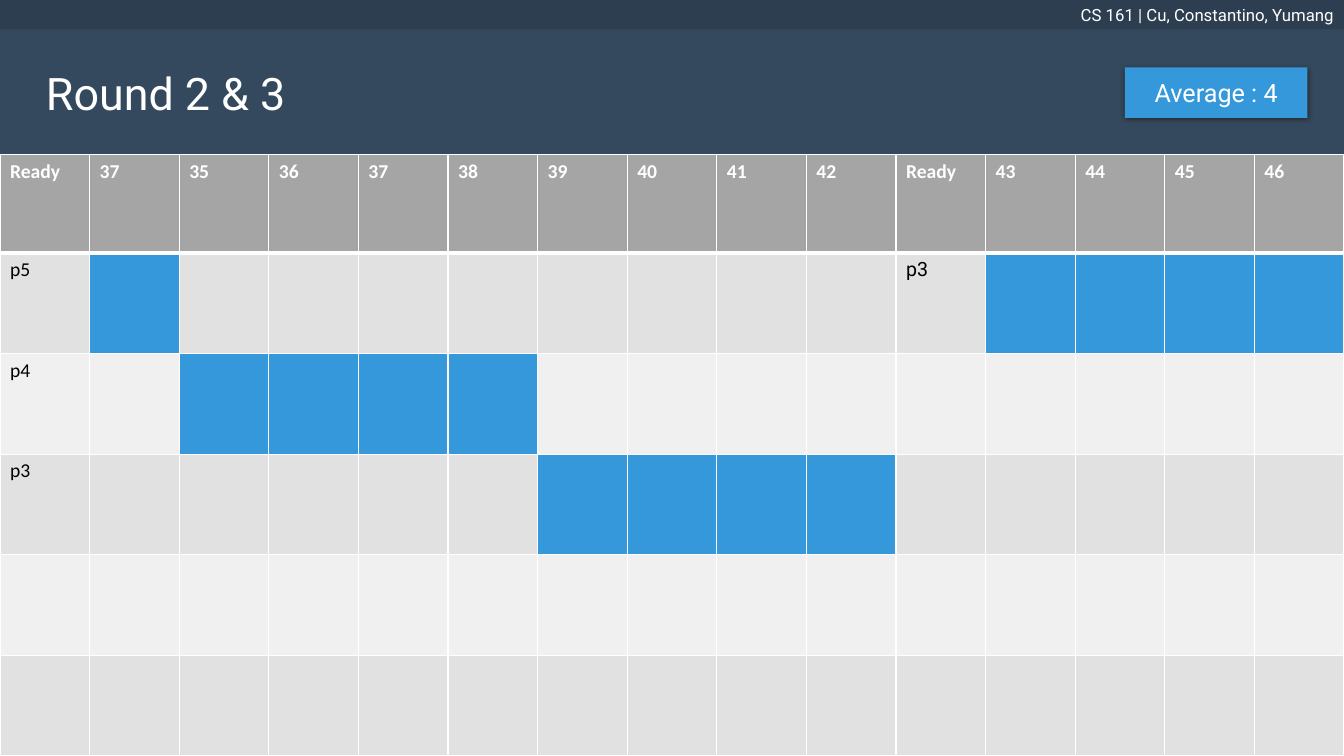
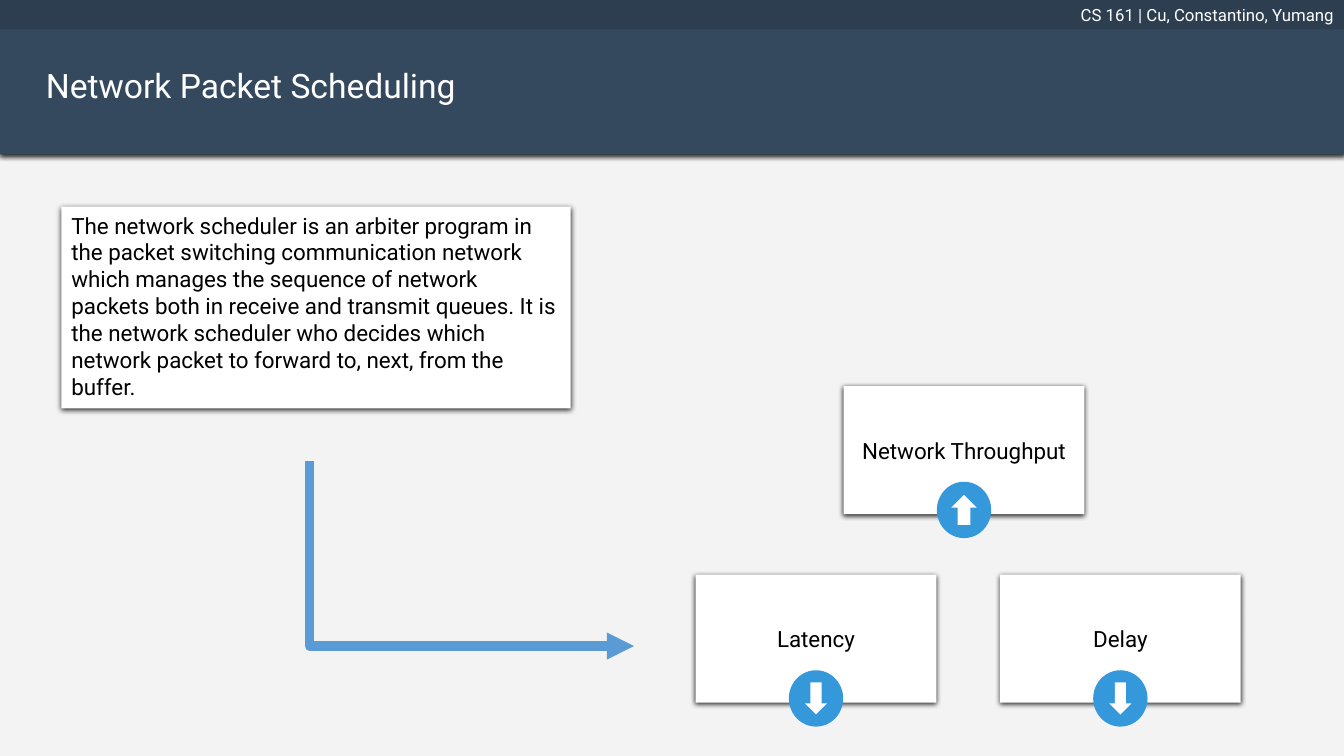
from dataclasses import dataclass

from lxml import etree
from pptx import Presentation
from pptx.dml.color import RGBColor
from pptx.enum.shapes import MSO_CONNECTOR, MSO_SHAPE
from pptx.enum.text import MSO_ANCHOR, PP_ALIGN
from pptx.oxml.ns import qn
from pptx.util import Cm, Pt

RECT, OVAL = MSO_SHAPE.RECTANGLE, MSO_SHAPE.OVAL
UP, DOWN = MSO_SHAPE.UP_ARROW, MSO_SHAPE.DOWN_ARROW
ELBOW = MSO_CONNECTOR.ELBOW
TOP, MIDDLE = MSO_ANCHOR.TOP, MSO_ANCHOR.MIDDLE
LEFT, CENTER, RIGHT = PP_ALIGN.LEFT, PP_ALIGN.CENTER, PP_ALIGN.RIGHT

WHITE, BLACK, PALE = "FFFFFF", "000000", "F3F3F3"
NAVY, DARK, BLUE, STEEL = "34495E", "2C3E50", "3498DB", "5B9BD5"
GREY, SHADE = "A5A5A5", "262626"
BANDS = ("F0F0F0", "E1E1E1")
SANS, CELL = "Roboto", "Calibri"

WIDE, HIGH = 33.87, 19.05
BAND = 3.89
HEAD = 2.49
CREDIT = "CS 161 | Cu, Constantino, Yumang"
INTRO = (
    "The network scheduler is an arbiter program in the packet switching "
    "communication network which manages the sequence of network packets both "
    "in receive and transmit queues. It is the network scheduler who decides "
    "which network packet to forward to, next, from the buffer."
)


@dataclass(frozen=True)
class Box:
    x: float
    y: float
    w: float
    h: float

    def lengths(self) -> tuple:
        return Cm(self.x), Cm(self.y), Cm(self.w), Cm(self.h)


@dataclass(frozen=True)
class Style:
    size: int
    color: str = WHITE
    font: str = SANS
    bold: bool = False
    align: int = LEFT
    anchor: int = TOP


@dataclass(frozen=True)
class Card:
    x: float
    y: float
    label: str
    arrow: int = DOWN
    w: float = 0.56
    h: float = 0.81


TIMES = ["Ready", "37", "35", "36", "37", "38", "39", "40", "41", "42",
         "Ready", "43", "44", "45", "46"]
ROWS = 6
LABELS = {(1, 0): "p5", (1, 10): "p3", (2, 0): "p4", (3, 0): "p3"}
BUSY = {1: (1, 11, 12, 13, 14), 2: range(2, 6), 3: range(6, 10)}
CARDS = (
    Card(17.53, 14.48, "Latency"),
    Card(25.2, 14.48, "Delay"),
    Card(21.26, 9.73, "Network Throughput", UP, 0.64, 0.76),
)


def paint(fill, color: str) -> None:
    fill.solid()
    fill.fore_color.rgb = RGBColor.from_string(color)


def write(frame, text: str, style: Style) -> None:
    frame.word_wrap = True
    frame.vertical_anchor = style.anchor
    line = frame.paragraphs[0]
    line.text = text
    line.alignment = style.align
    font = line.font
    font.name, font.size, font.bold = style.font, Pt(style.size), style.bold
    font.color.rgb = RGBColor.from_string(style.color)


def cast(shape) -> None:
    glow = shape.element.spPr.find(qn("a:effectLst"))
    outer = etree.SubElement(
        glow, qn("a:outerShdw"), blurRad=str(Pt(4)), dist=str(Pt(1)),
        dir="5400000", algn="t", rotWithShape="0")
    etree.SubElement(outer, qn("a:srgbClr"), val=SHADE)


def draw(slide, kind: int, box: Box, color: str, raised: bool = False):
    shape = slide.shapes.add_shape(kind, *box.lengths())
    shape.shadow.inherit = False
    paint(shape.fill, color)
    shape.line.fill.background()
    if raised:
        cast(shape)
    return shape


def start(deck, title: str, size: int, back: str):
    slide = deck.slides.add_slide(deck.slide_layouts[6])
    paint(slide.background.fill, back)
    draw(slide, RECT, Box(0, 0, WIDE, BAND), NAVY, True)
    bar = draw(slide, RECT, Box(0, 0, WIDE, 0.74), DARK)
    write(bar.text_frame, CREDIT, Style(12, align=RIGHT, anchor=MIDDLE))
    text = slide.shapes.add_textbox(*Box(0.91, 1.52, 12.65, 1.6).lengths())
    write(text.text_frame, title, Style(size))
    return slide


def edge(cell, row: int) -> None:
    props = cell._tc.get_or_add_tcPr()
    widths = {"L": 1, "R": 1, "T": 3 if row == 1 else 1, "B": 3 if row == 0 else 1}
    for spot, (side, width) in enumerate(widths.items()):
        line = etree.Element(qn(f"a:ln{side}"), w=str(Pt(width)))
        fill = etree.SubElement(line, qn("a:solidFill"))
        etree.SubElement(fill, qn("a:srgbClr"), val=WHITE)
        props.insert(spot, line)


def fill_cell(cell, row: int, col: int) -> None:
    if row == 0:
        color, text, style = GREY, TIMES[col], Style(14, WHITE, CELL, True)
    else:
        color = BLUE if col in BUSY.get(row, ()) else BANDS[row % 2]
        text = LABELS.get((row, col), "")
        style = Style(14, BLACK, CELL if col == 0 else SANS)
    paint(cell.fill, color)
    write(cell.text_frame, text, style)
    edge(cell, row)


def add_grid(slide) -> None:
    area = Box(0, BAND, WIDE, HIGH - BAND)
    grid = slide.shapes.add_table(ROWS, len(TIMES), *area.lengths()).table
    grid.first_row = grid.horz_banding = False
    for col in grid.columns:
        col.width = Cm(WIDE / len(TIMES))
    for row, line in enumerate(grid.rows):
        line.height = Cm(HEAD if row == 0 else (area.h - HEAD) / (ROWS - 1))
        for col, cell in enumerate(line.cells):
            fill_cell(cell, row, col)


def add_card(slide, card: Card) -> None:
    box = Box(card.x, card.y, 6.07, 3.23)
    shape = draw(slide, RECT, box, WHITE, True)
    write(shape.text_frame, card.label, Style(16, BLACK, align=CENTER, anchor=MIDDLE))
    mid, level = box.x + box.w / 2, box.y + 3.12
    for kind, w, h, color in ((OVAL, 1.37, 1.42, BLUE),
                              (card.arrow, card.w, card.h, WHITE)):
        draw(slide, kind, Box(mid - w / 2, level - h / 2, w, h), color)


def add_bend(slide, x: float, y: float, right: float, low: float) -> None:
    bend = slide.shapes.add_connector(ELBOW, Cm(x), Cm(y), Cm(right), Cm(low))
    wide, high = right - x, low - y
    bend.left, bend.top = Cm(x + (wide - high) / 2), Cm(y + (high - wide) / 2)
    bend.width, bend.height = Cm(high), Cm(wide)
    bend.rotation = 270 if hasattr(bend, "rotation") else 0
    props = bend.element.spPr
    frame = props.find(qn("a:xfrm"))
    frame.set("rot", "16200000")
    frame.set("flipH", "1")
    props.find(qn("a:prstGeom")).set("prst", "bentConnector2")
    bend.line.color.rgb = RGBColor.from_string(STEEL)
    bend.line.width = Pt(6.5)
    etree.SubElement(props.find(qn("a:ln")), qn("a:tailEnd"), type="triangle")
    etree.SubElement(props, qn("a:effectLst"))


def add_round(deck) -> None:
    slide = start(deck, "Round 2 & 3", 32, WHITE)
    add_grid(slide)
    badge = draw(slide, RECT, Box(28.35, 1.7, 4.6, 1.27), BLUE, True)
    write(badge.text_frame, "Average : 4", Style(18, align=CENTER, anchor=MIDDLE))


def add_packet(deck) -> None:
    slide = start(deck, "Network Packet Scheduling", 24, PALE)
    note = draw(slide, RECT, Box(1.55, 5.21, 12.83, 5.08), WHITE, True)
    write(note.text_frame, INTRO, Style(16, BLACK))
    add_bend(slide, 7.8, 11.61, 15.98, 16.28)
    for card in CARDS:
        add_card(slide, card)


def main() -> None:
    deck = Presentation()
    deck.slide_width, deck.slide_height = Cm(WIDE), Cm(HIGH)
    add_round(deck)
    add_packet(deck)
    deck.save("out.pptx")


if __name__ == "__main__":
    main()
